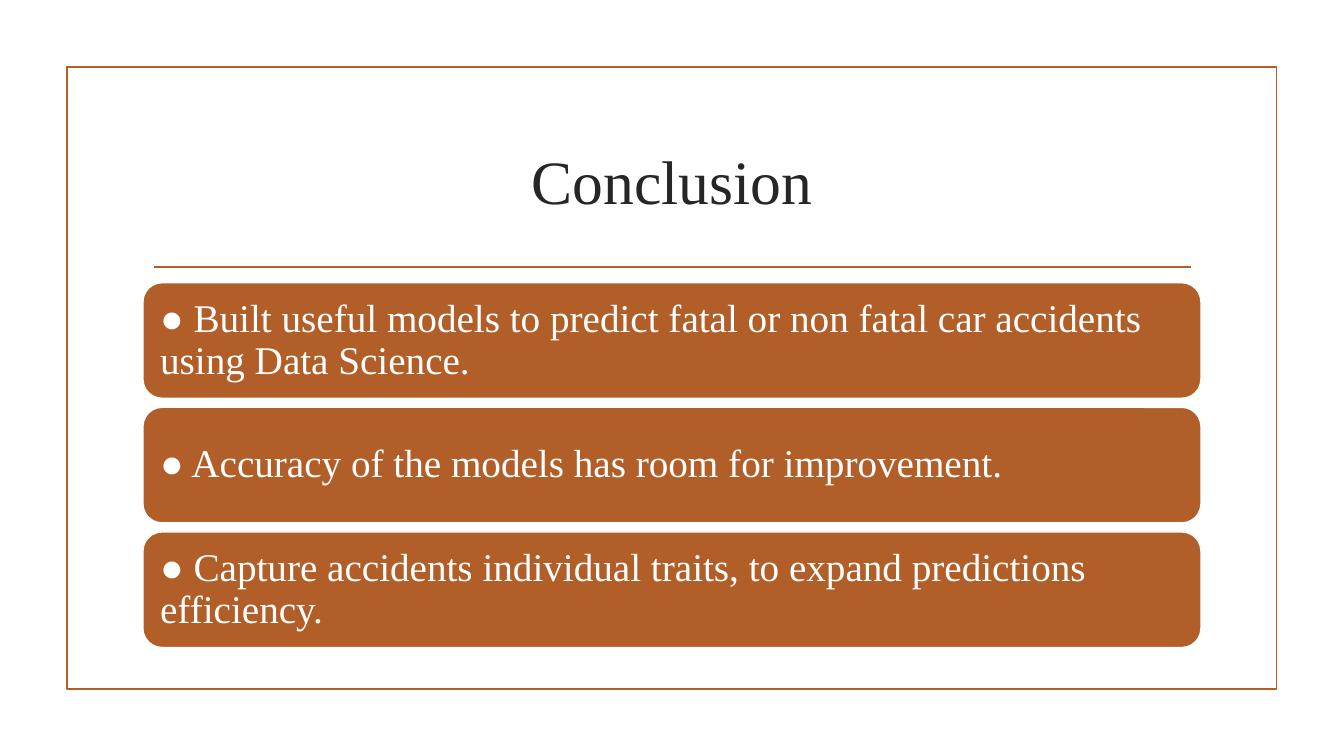
from pptx import Presentation
from pptx.dml.color import RGBColor
from pptx.enum import shapes, text
from pptx.oxml.ns import qn
from pptx.util import Pt

RUST = RGBColor(0xB1, 0x5E, 0x28)
WHITE = RGBColor(0xFF, 0xFF, 0xFF)
DARK = RGBColor(0x26, 0x26, 0x26)

POINTS = [
    "● Built useful models to predict fatal or non fatal car accidents using Data Science.",
    "● Accuracy of the models has room for improvement.",
    "● Capture accidents individual traits, to expand predictions efficiency.",
]
LEFT, WIDTH = 102, 756
TOP, HEIGHT, STEP = 201.8, 82.8, 89


def write(shape, words, size, color, align, inset, spacing=1.0):
    frame = shape.text_frame
    frame.word_wrap = True
    frame.vertical_anchor = text.MSO_ANCHOR.MIDDLE
    frame.margin_left = frame.margin_right = Pt(inset)
    frame.margin_top = frame.margin_bottom = Pt(inset)
    para = frame.paragraphs[0]
    para.alignment = align
    para.line_spacing = spacing
    run = para.add_run()
    run.text = words
    run.font.name = "Times New Roman"
    run.font.size = Pt(size)
    run.font.color.rgb = color


def outline(shape, color):
    shape.line.color.rgb = color
    shape.line.width = Pt(1.25)


deck = Presentation()
deck.slide_width, deck.slide_height = Pt(960), Pt(540)
slide = deck.slides.add_slide(deck.slide_layouts[6])

frame = slide.shapes.add_shape(
    shapes.MSO_SHAPE.RECTANGLE, Pt(47.8), Pt(48), Pt(864), Pt(444))
frame.shadow.inherit = False
frame.fill.background()
outline(frame, RUST)

rule = slide.shapes.add_connector(
    shapes.MSO_CONNECTOR.STRAIGHT, Pt(110), Pt(190.8), Pt(850.5), Pt(190.8))
outline(rule, RUST)
props = rule._element.spPr
props.append(props.makeelement(qn("a:effectLst"), {}))

title = slide.shapes.add_textbox(Pt(LEFT), Pt(77), Pt(WIDTH), Pt(103))
write(title, "Conclusion", 44, DARK, text.PP_ALIGN.CENTER, inset=3.6)

for i, words in enumerate(POINTS):
    card = slide.shapes.add_shape(
        shapes.MSO_SHAPE.ROUNDED_RECTANGLE,
        Pt(LEFT), Pt(TOP + i * STEP), Pt(WIDTH), Pt(HEIGHT))
    card.shadow.inherit = False
    card.fill.solid()
    card.fill.fore_color.rgb = RUST
    outline(card, WHITE)
    write(card, words, 28, WHITE, text.PP_ALIGN.LEFT, inset=8.4, spacing=0.9)

deck.save("out.pptx")
